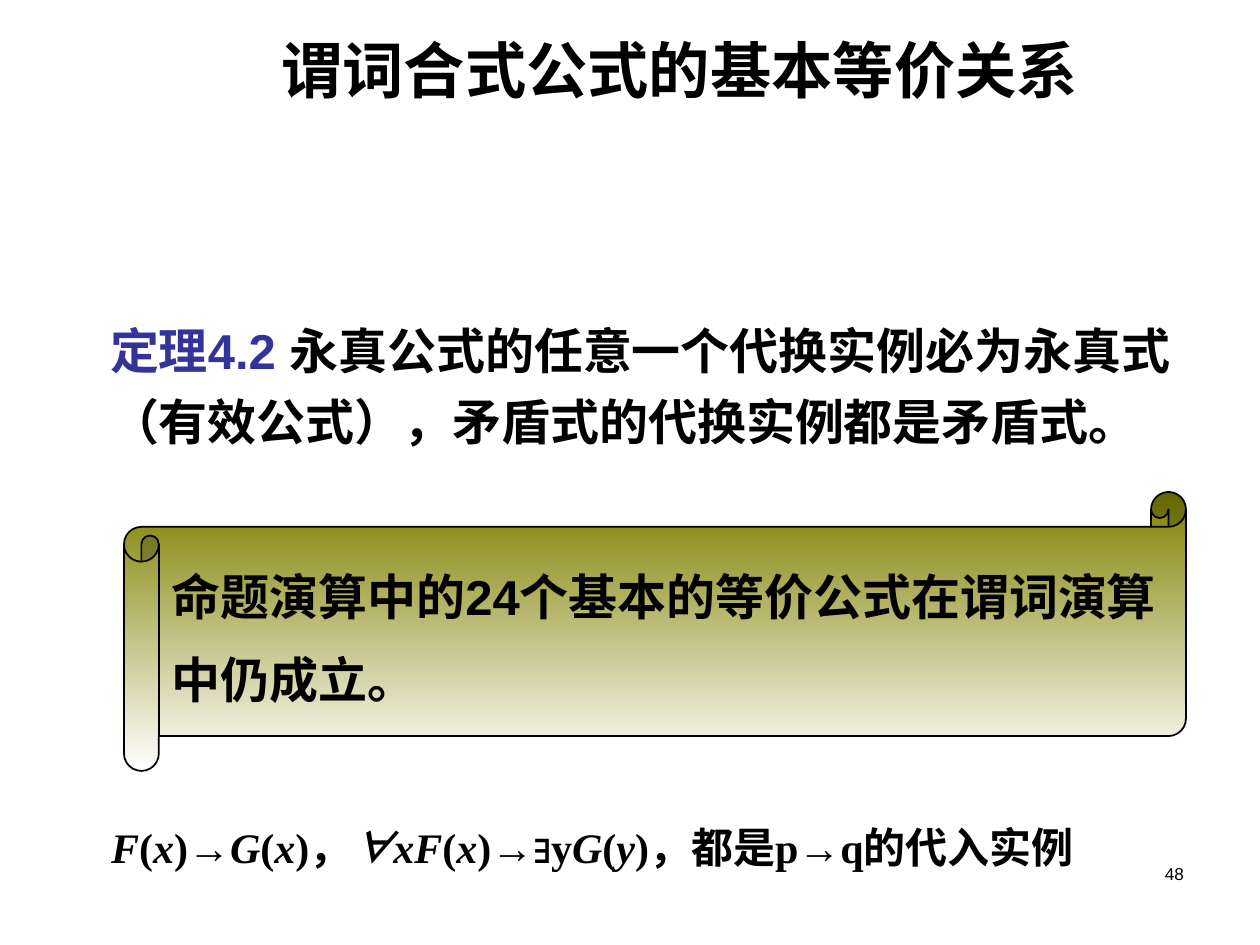
"""Build the slide on basic equivalences of predicate formulas."""
from pptx import Presentation
from pptx.dml.color import RGBColor
from pptx.enum.shapes import MSO_SHAPE
from pptx.enum.text import MSO_ANCHOR, MSO_AUTO_SIZE, PP_ALIGN
from pptx.util import Pt

SCALE = 914400 // 126
SCROLL = MSO_SHAPE.HORIZONTAL_SCROLL
TOP, MID = MSO_ANCHOR.TOP, MSO_ANCHOR.MIDDLE
GROW, FIXED = MSO_AUTO_SIZE.SHAPE_TO_FIT_TEXT, MSO_AUTO_SIZE.NONE
LEFT, MIDDLE, RIGHT = PP_ALIGN.LEFT, PP_ALIGN.CENTER, PP_ALIGN.RIGHT
BLACK, BLUE, OLIVE, WHITE = "000000", "333399", "808000", "FFFFFF"

SANS = {"name": "Arial", "bold": True, "italic": False}
SLANT = {**SANS, "italic": True}
SERIF = {**SANS, "name": "Times New Roman"}
VAR = {**SERIF, "italic": True}
PLAIN = {**SANS, "bold": False}

TITLE = [[("谓词合式公式的基本等价关系", SANS, BLACK)]]
THEOREM = [[
    ("定理4.2 ", SANS, BLUE),
    ("永真公式的任意一个代换实例必为永真式（有效公式），矛盾式的代换实例都是矛盾式。",
     SANS, BLACK),
]]
LAW = [
    [("命题演算中的24个基本的等价公式在谓词演算", SANS, BLACK)],
    [("中仍成立。", SANS, BLACK)],
]
SAMPLE = [[(text, style, BLACK) for text, style in [
    ("F", VAR), ("(", SERIF), ("x", VAR), (")", SERIF), ("→", SANS),
    ("G", VAR), ("(", SERIF), ("x", VAR), (")，", SERIF), ("∀", SLANT),
    ("xF", VAR), ("(", SERIF), ("x", VAR), (")", SERIF), ("→∃", SANS),
    ("y", SERIF), ("G", VAR), ("(", SERIF), ("y", VAR), (")，都是p", SERIF),
    ("→", SANS), ("q的代入实例", SERIF),
]]]
NUMBER = [[("48", PLAIN, BLACK)]]


def px(*vals):
    return [val * SCALE for val in vals]


def color(code):
    return RGBColor.from_string(code)


def write(shape, paras, size, frame, form, gap=0):
    box = shape.text_frame
    for key, val in frame.items():
        setattr(box, key, val)
    for row, runs in enumerate(paras):
        para = box.add_paragraph() if row else box.paragraphs[0]
        for key, val in form.items():
            setattr(para, key, val)
        if row:
            para.space_before = Pt(gap)
        for text, style, code in runs:
            run = para.add_run()
            run.text = text
            run.font.size = Pt(size)
            run.font.color.rgb = color(code)
            for key, val in style.items():
                setattr(run.font, key, val)


def inset(side, edge):
    wide, high = px(side, edge)
    return {"margin_left": wide, "margin_right": wide,
            "margin_top": high, "margin_bottom": high}


def frame(anchor, size, wrap=True, side=13, edge=6):
    return {"vertical_anchor": anchor, "auto_size": size,
            "word_wrap": wrap, **inset(side, edge)}


def main():
    deck = Presentation()
    deck.slide_width, deck.slide_height = px(1260, 945)
    shapes = deck.slides.add_slide(deck.slide_layouts[6]).shapes

    title = shapes.add_textbox(*px(179, 29, 1002, 79))
    write(title, TITLE, 35, frame(MID, FIXED), {"alignment": MIDDLE})

    claim = shapes.add_textbox(*px(105, 304, 1091, 151))
    claim.fill.solid()
    claim.fill.fore_color.rgb = color(WHITE)
    write(claim, THEOREM, 28, frame(TOP, GROW, side=5, edge=5),
          {"alignment": LEFT, "line_spacing": 1.2})

    scroll = shapes.add_shape(SCROLL, *px(124, 492, 1062, 279))
    scroll.shadow.inherit = False
    scroll.fill.gradient()
    scroll.fill.gradient_angle = 270
    for stop, code in zip(scroll.fill.gradient_stops, (OLIVE, WHITE)):
        stop.color.rgb = color(code)
    scroll.line.color.rgb = color(BLACK)
    scroll.line.width = Pt(1)
    write(scroll, LAW, 28, frame(MID, FIXED, wrap=False),
          {"alignment": LEFT, "line_spacing": 1.2}, gap=7)

    sample = shapes.add_textbox(*px(98, 816, 1092, 63))
    write(sample, SAMPLE, 24, frame(TOP, GROW), {"alignment": LEFT})

    number = shapes.add_textbox(*px(903, 861, 294, 35))
    write(number, NUMBER, 9.8, frame(TOP, FIXED),
          {"alignment": RIGHT, "line_spacing": 0.8})

    deck.save("out.pptx")


if __name__ == "__main__":
    main()
